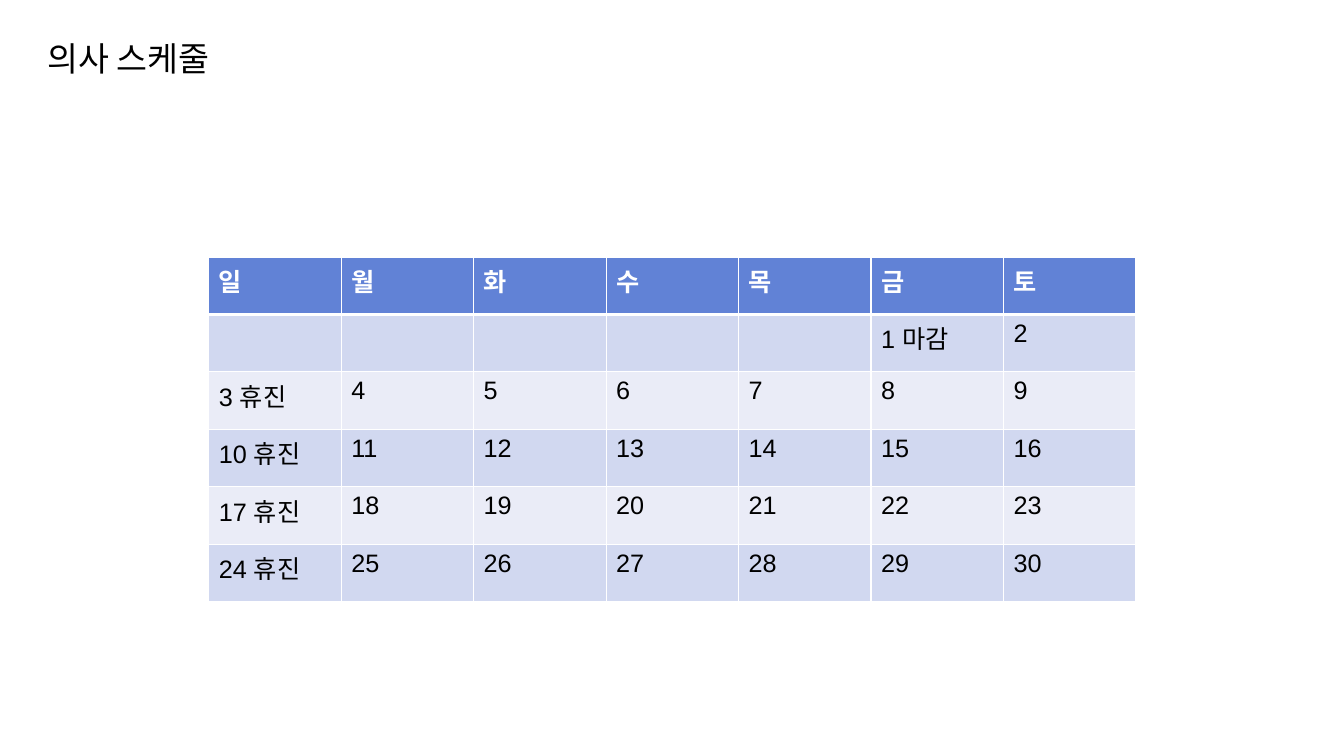
from dataclasses import dataclass

from lxml.etree import SubElement
from pptx import Presentation
from pptx.dml.color import RGBColor
from pptx.enum.text import MSO_ANCHOR, MSO_AUTO_SIZE, PP_ALIGN
from pptx.oxml.ns import qn
from pptx.slide import Slide
from pptx.table import _Cell
from pptx.text.text import _Paragraph
from pptx.util import Inches, Pt

BLACK = RGBColor(0x00, 0x00, 0x00)
WHITE = RGBColor(0xFF, 0xFF, 0xFF)
HEADER_BLUE = RGBColor(0x61, 0x82, 0xD6)
BAND_DARK = RGBColor(0xD1, 0xD8, 0xF0)
BAND_LIGHT = RGBColor(0xEA, 0xEC, 0xF7)

WEEKDAYS = "일월화수목금토"
FIRST_WEEKDAY = 5
LAST_DAY = 30
NOTES = {1: "마감", 3: "휴진", 10: "휴진", 17: "휴진", 24: "휴진"}
ROWS = 6
COLUMN_WIDTH = 1.314
ROW_HEIGHT = 0.57


@dataclass(frozen=True)
class CalendarCell:
    row: int
    column: int
    text: str
    fill: RGBColor
    color: RGBColor = BLACK
    bold: bool = False
    bottom_line: float = 1


def add_run(p: _Paragraph, text: str, font: str, size: float,
            color: RGBColor, bold: bool = False) -> None:
    r = p.add_run()
    r.text = text
    r.font.name = font
    r.font.size = Pt(size)
    r.font.bold = bold
    r.font.color.rgb = color


def add_title(s: Slide, text: str) -> None:
    sp = s.shapes.title
    sp.left, sp.top = Inches(0.37), Inches(0.33)
    sp.width, sp.height = Inches(2.35), Inches(0.49)
    tf = sp.text_frame
    tf.word_wrap = True
    tf.auto_size = MSO_AUTO_SIZE.NONE
    tf.vertical_anchor = MSO_ANCHOR.TOP
    p = tf.paragraphs[0]
    p.alignment = PP_ALIGN.LEFT
    add_run(p, text, "Calibri", 24, BLACK)


def set_borders(cell: _Cell, bottom: float, top: float) -> None:
    tc_pr = cell._tc.get_or_add_tcPr()
    for side, width in (("L", 1), ("R", 1), ("T", top), ("B", bottom)):
        line = SubElement(tc_pr, qn(f"a:ln{side}"), w=str(Pt(width)))
        fill = SubElement(line, qn("a:solidFill"))
        SubElement(fill, qn("a:srgbClr"), val=str(WHITE))


def calendar_cells() -> list[CalendarCell]:
    cells = [CalendarCell(0, column, name, HEADER_BLUE, WHITE, True, 3)
             for column, name in enumerate(WEEKDAYS)]
    for index in range((ROWS - 1) * len(WEEKDAYS)):
        week, column = divmod(index, len(WEEKDAYS))
        day = index - FIRST_WEEKDAY + 1
        text = f"{day} {NOTES.get(day, '')}".strip() if 1 <= day <= LAST_DAY else ""
        band = BAND_LIGHT if week % 2 else BAND_DARK
        cells.append(CalendarCell(week + 1, column, text, band))
    return cells


def add_calendar(s: Slide) -> None:
    columns = len(WEEKDAYS)
    table = s.shapes.add_table(
        ROWS, columns, Inches(2.07), Inches(2.55),
        Inches(COLUMN_WIDTH * columns), Inches(ROW_HEIGHT * ROWS)).table
    for column in table.columns:
        column.width = Inches(COLUMN_WIDTH)
    for row in table.rows:
        row.height = Inches(ROW_HEIGHT)
    for item in calendar_cells():
        cell = table.cell(item.row, item.column)
        set_borders(cell, item.bottom_line, 3 if item.row == 1 else 1)
        cell.fill.solid()
        cell.fill.fore_color.rgb = item.fill
        if item.text:
            p = cell.text_frame.paragraphs[0]
            add_run(p, item.text, "Arial", 18, item.color, item.bold)


def main() -> None:
    prs = Presentation()
    prs.slide_width, prs.slide_height = Inches(13.33), Inches(7.5)
    s = prs.slides.add_slide(prs.slide_layouts.get_by_name("Title Only"))
    add_title(s, "의사 스케줄")
    add_calendar(s)
    prs.save("out.pptx")


if __name__ == "__main__":
    main()
